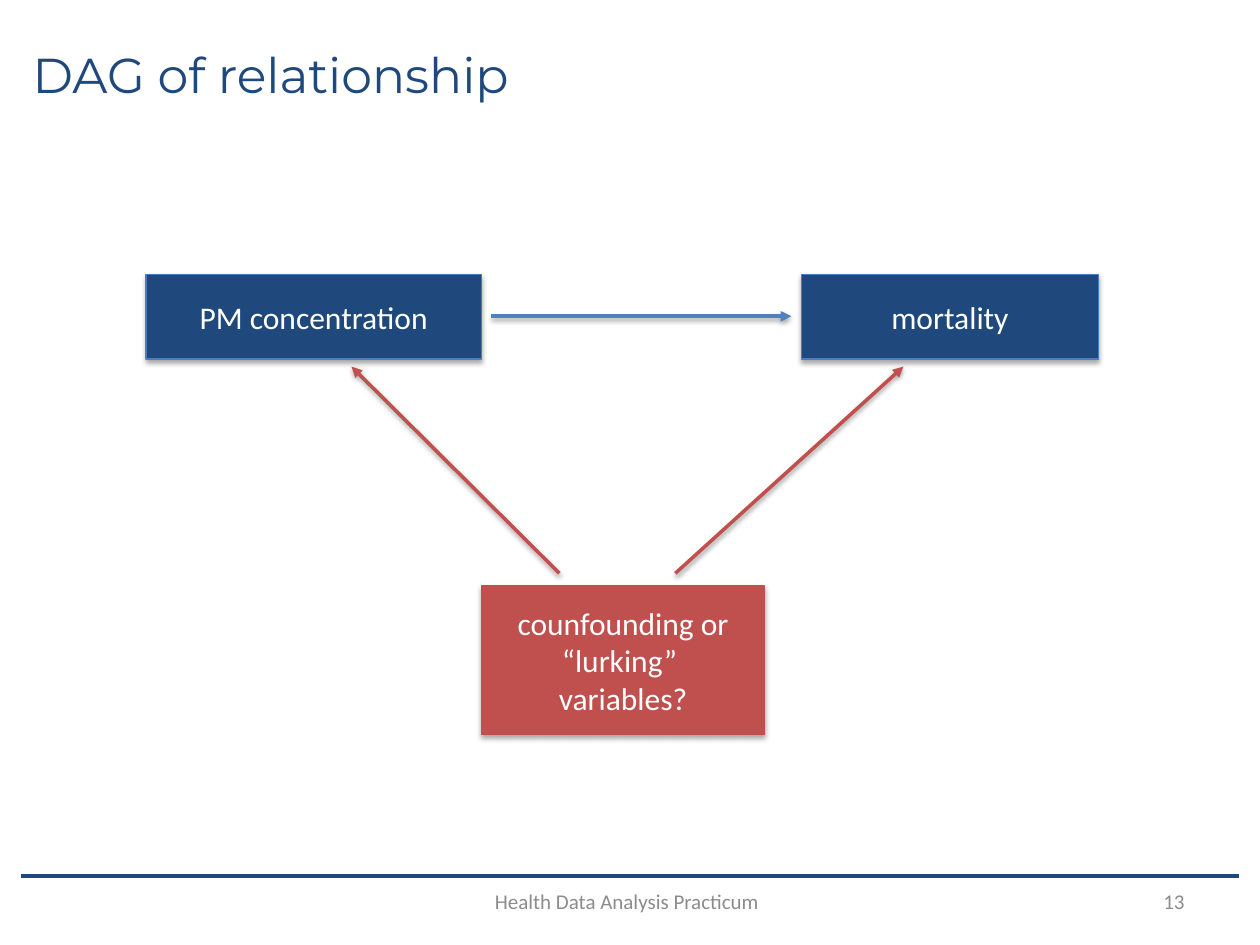
from dataclasses import dataclass

from lxml import etree
from pptx import Presentation
from pptx.dml.color import RGBColor
from pptx.enum.shapes import MSO_CONNECTOR, MSO_SHAPE
from pptx.enum.text import MSO_ANCHOR, PP_ALIGN
from pptx.oxml.ns import qn
from pptx.util import Inches, Pt

LEFT, CENTER, RIGHT = PP_ALIGN.LEFT, PP_ALIGN.CENTER, PP_ALIGN.RIGHT
MIDDLE = MSO_ANCHOR.MIDDLE
STRAIGHT, RECTANGLE = MSO_CONNECTOR.STRAIGHT, MSO_SHAPE.RECTANGLE


@dataclass(frozen=True)
class Theme:
    navy: str = "1F497D"
    outline: str = "4B7EBC"
    blue: str = "4F81BD"
    red: str = "C0504D"
    gray: str = "8C8C8C"
    white: str = "FFFFFF"
    heading_font: str = "Montserrat"
    body_font: str = "Calibri"
    title_size: int = 28
    node_size: int = 18
    footer_size: int = 12


THEME = Theme()

# Content: text, position (left, top, width, height), alignment, font, size, colour
LABELS = [
    ("DAG of relationship", (0.16, 0.14, 9.62, 0.9), LEFT,
     THEME.heading_font, THEME.title_size, THEME.navy),
    ("Health Data Analysis Practicum ", (2.83, 6.95, 4.33, 0.4), CENTER,
     THEME.body_font, THEME.footer_size, THEME.gray),
    ("13", (7.17, 6.95, 2.33, 0.4), RIGHT,
     THEME.body_font, THEME.footer_size, THEME.gray),
]

# Nodes: text, position, fill, outline
NODES = [
    ("PM concentration", (1.16, 2.18, 2.66, 0.67), THEME.navy, THEME.outline),
    ("mortality", (6.36, 2.18, 2.36, 0.67), THEME.navy, THEME.outline),
    ("counfounding or “lurking” \nvariables?", (3.82, 4.65, 2.25, 1.18),
     THEME.red, THEME.red),
]

# Causal arrows: start, end, colour
ARROWS = [
    ((3.9, 2.51), (6.28, 2.51), THEME.blue),
    ((4.44, 4.55), (2.79, 2.91), THEME.red),
    ((5.36, 4.55), (7.17, 2.91), THEME.red),
]
FOOTER_RULE = ((0.17, 6.95), (9.83, 6.95), THEME.navy)


def rgb(value):
    return RGBColor.from_string(value)


def write_text(shape, text, align, font, size, color):
    frame = shape.text_frame
    frame.word_wrap = True
    frame.vertical_anchor = MIDDLE
    frame.text = text
    for para in frame.paragraphs:
        para.alignment = align
        for span in para.runs:
            span.font.name = font
            span.font.size = Pt(size)
            span.font.color.rgb = rgb(color)


def set_effects(properties, distance=None, opacity=0):
    """Replace inherited effects by none, or by a soft shadow straight below."""
    for old in properties.findall(qn("a:effectLst")):
        properties.remove(old)
    effects = etree.SubElement(properties, qn("a:effectLst"))
    if distance:
        shadow = etree.SubElement(
            effects, qn("a:outerShdw"), blurRad=str(Pt(3.1)),
            dist=str(Pt(distance)), dir=str(90 * 60000), rotWithShape="0")
        black = etree.SubElement(shadow, qn("a:srgbClr"), val="000000")
        etree.SubElement(black, qn("a:alpha"), val=str(opacity * 1000))


def add_line(page, start, end, color, width):
    points = [Inches(value) for value in start + end]
    line = page.shapes.add_connector(STRAIGHT, *points)
    line.line.color.rgb = rgb(color)
    line.line.width = Pt(width)
    return line


def add_label(page, text, position, *style):
    box = page.shapes.add_textbox(*map(Inches, position))
    write_text(box, text, *style)


def add_node(page, text, position, fill, outline):
    box = page.shapes.add_shape(RECTANGLE, *map(Inches, position))
    box.fill.solid()
    box.fill.fore_color.rgb = rgb(fill)
    box.line.color.rgb = rgb(outline)
    box.line.width = Pt(0.75)
    set_effects(box.element.spPr, distance=1.8, opacity=35)
    write_text(box, text, CENTER, THEME.body_font, THEME.node_size, THEME.white)


def add_arrow(page, start, end, color):
    arrow = add_line(page, start, end, color, width=2)
    outline = arrow.element.spPr.find(qn("a:ln"))
    etree.SubElement(outline, qn("a:tailEnd"), type="triangle")
    set_effects(arrow.element.spPr, distance=1.6, opacity=38)


def main():
    deck = Presentation()
    deck.slide_width, deck.slide_height = Inches(10), Inches(7.5)
    page = deck.slides.add_slide(deck.slide_layouts[6])

    # Frame: footer rule, title, footer and page number
    rule = add_line(page, *FOOTER_RULE, width=2.5)
    set_effects(rule.element.spPr)
    for label in LABELS:
        add_label(page, *label)

    # Diagram
    for node in NODES:
        add_node(page, *node)
    for arrow in ARROWS:
        add_arrow(page, *arrow)

    deck.save("out.pptx")


if __name__ == "__main__":
    main()
